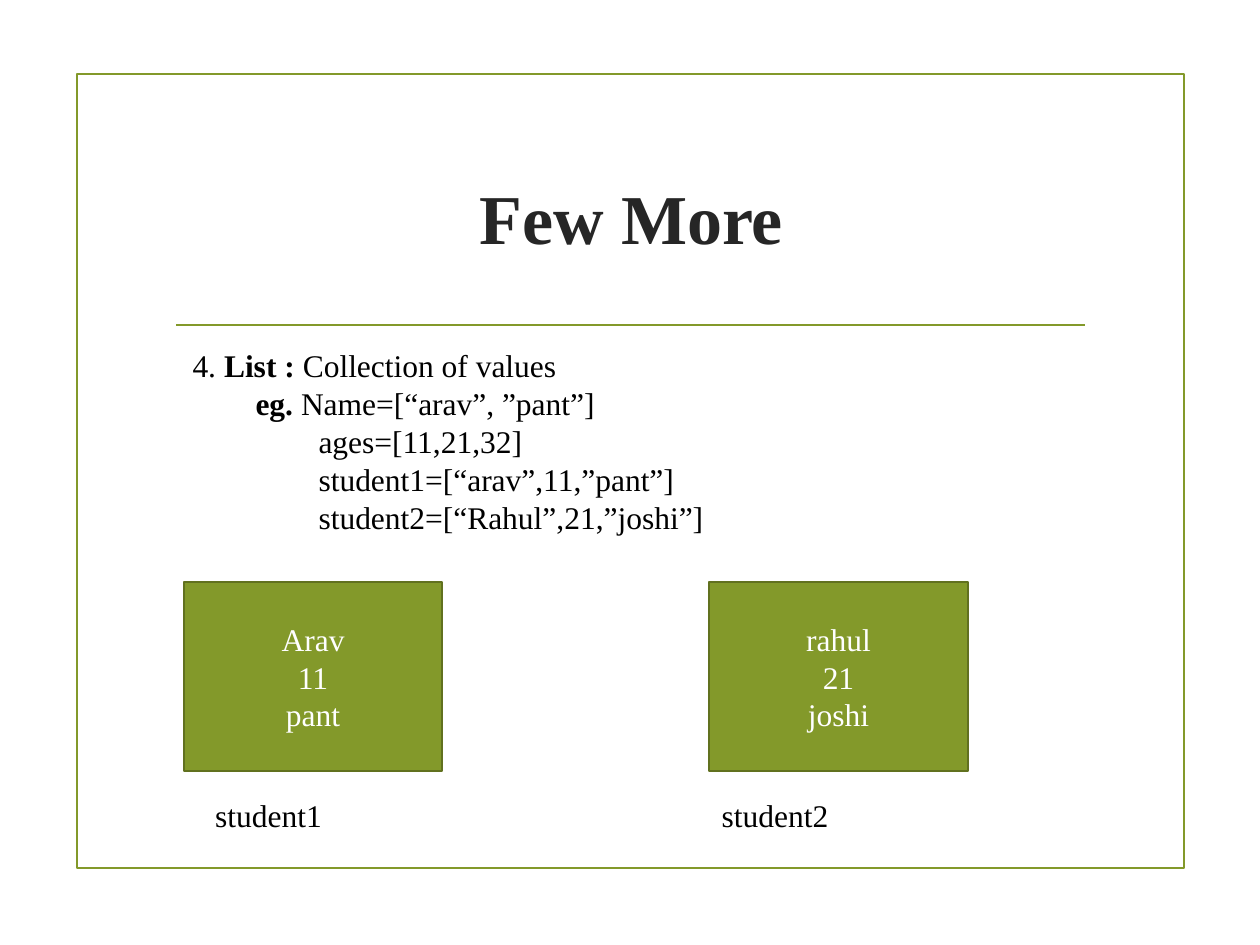
"""Build a slide that introduces Python lists with two student records."""
import dataclasses

import pptx
import pptx.dml.color
import pptx.enum.shapes
import pptx.enum.text
import pptx.oxml
import pptx.oxml.ns
import pptx.util
from pptx.util import Inches

ALIGN = pptx.enum.text.PP_ALIGN
ANCHOR = pptx.enum.text.MSO_ANCHOR


@dataclasses.dataclass(frozen=True)
class Theme:
    """Colours, font, type sizes and line width."""
    green: str = "83992A"
    edge: str = "61711F"
    heading: str = "262626"
    ink: str = "000000"
    white: str = "FFFFFF"
    font: str = "Times New Roman"
    title_size: int = 40
    body_size: int = 18
    line_width: float = 1.25


class SlideBuilder:
    """Draw styled elements on the current slide."""

    def __init__(self, slide, theme):
        """Keep the slide and its theme."""
        self.slide = slide
        self.theme = theme

    def color(self, value):
        """Return an RGB colour."""
        return pptx.dml.color.RGBColor.from_string(value)

    def stroke(self, line, color):
        """Style an outline or a line."""
        line.color.rgb = self.color(color)
        line.width = pptx.util.Pt(self.theme.line_width)

    def set_text(self, sp, rows, color, size, align=ALIGN.LEFT, anchor=ANCHOR.TOP):
        """Fill a shape with rows of (indent level, [(text, bold)])."""
        tf = sp.text_frame
        for name, value in {"word_wrap": True, "vertical_anchor": anchor}.items():
            setattr(tf, name, value)
        style = {"name": self.theme.font, "size": pptx.util.Pt(size)}
        for i, (level, runs) in enumerate(rows):
            p = tf.add_paragraph() if i else tf.paragraphs[0]
            p.alignment = align
            if level:
                p._p.get_or_add_pPr().set("marL", str(Inches(0.5 * level)))
            for text, bold in runs:
                r = p.add_run()
                r.text = text
                for name, value in {**style, "bold": bold}.items():
                    setattr(r.font, name, value)
                r.font.color.rgb = self.color(color)

    def text(self, box, rows, color=None, size=None, **layout):
        """Add a text box."""
        sp = self.slide.shapes.add_textbox(*map(Inches, box))
        self.set_text(sp, rows, color or self.theme.ink,
                      size or self.theme.body_size, **layout)

    def rect(self, box, line, fill=None, lines=()):
        """Add a rectangle with optional fill and centred lines of text."""
        sp = self.slide.shapes.add_shape(
            pptx.enum.shapes.MSO_SHAPE.RECTANGLE, *map(Inches, box))
        sp.shadow.inherit = False
        if fill:
            sp.fill.solid()
            sp.fill.fore_color.rgb = self.color(fill)
        else:
            sp.fill.background()
        self.stroke(sp.line, line)
        self.set_text(sp, [(0, [(text, False)]) for text in lines], self.theme.white,
                      self.theme.body_size, ALIGN.CENTER, ANCHOR.MIDDLE)

    def rule(self, x1, x2, y):
        """Add a horizontal line."""
        sp = self.slide.shapes.add_connector(
            pptx.enum.shapes.MSO_CONNECTOR.STRAIGHT, *map(Inches, (x1, y, x2, y)))
        self.stroke(sp.line, self.theme.green)
        sp._element.spPr.append(pptx.oxml.parse_xml(
            f"<a:effectLst {pptx.oxml.ns.nsdecls('a')}/>"))


def main():
    """Build and save the slide."""
    prs = pptx.Presentation()
    prs.slide_width, prs.slide_height = Inches(10), Inches(7.5)
    theme = Theme()
    s = SlideBuilder(prs.slides.add_slide(prs.slide_layouts[6]), theme)

    s.rect((0.61, 0.59, 8.79, 6.3), theme.green)
    s.rule(1.4, 8.61, 2.58)
    s.text((1.29, 1, 7.44, 1.43), [(0, [("Few More", True)])], theme.heading,
           theme.title_size, align=ALIGN.CENTER, anchor=ANCHOR.MIDDLE)
    s.text((1.43, 2.7, 7.44, 1.92), [
        (0, [("4. ", False), ("List : ", True), ("Collection of values", False)]),
        (1, [("eg. ", True), ("Name=[“arav”, ”pant”]", False)]),
        (2, [("ages=[11,21,32]", False)]),
        (2, [("student1=[“arav”,11,”pant”]", False)]),
        (2, [("student2=[“Rahul”,21,”joshi”]", False)]),
    ])

    students = [
        ("student1", ("Arav", "11", "pant"), 1.46, 1.61, 1.57),
        ("student2", ("rahul", "21", "joshi"), 5.63, 5.63, 1.73),
    ]
    for name, values, box_x, label_x, label_w in students:
        s.rect((box_x, 4.62, 2.05, 1.5), theme.edge, theme.green, values)
        s.text((label_x, 6.27, label_w, 0.4), [(0, [(name, False)])])

    prs.save("out.pptx")


if __name__ == "__main__":
    main()
